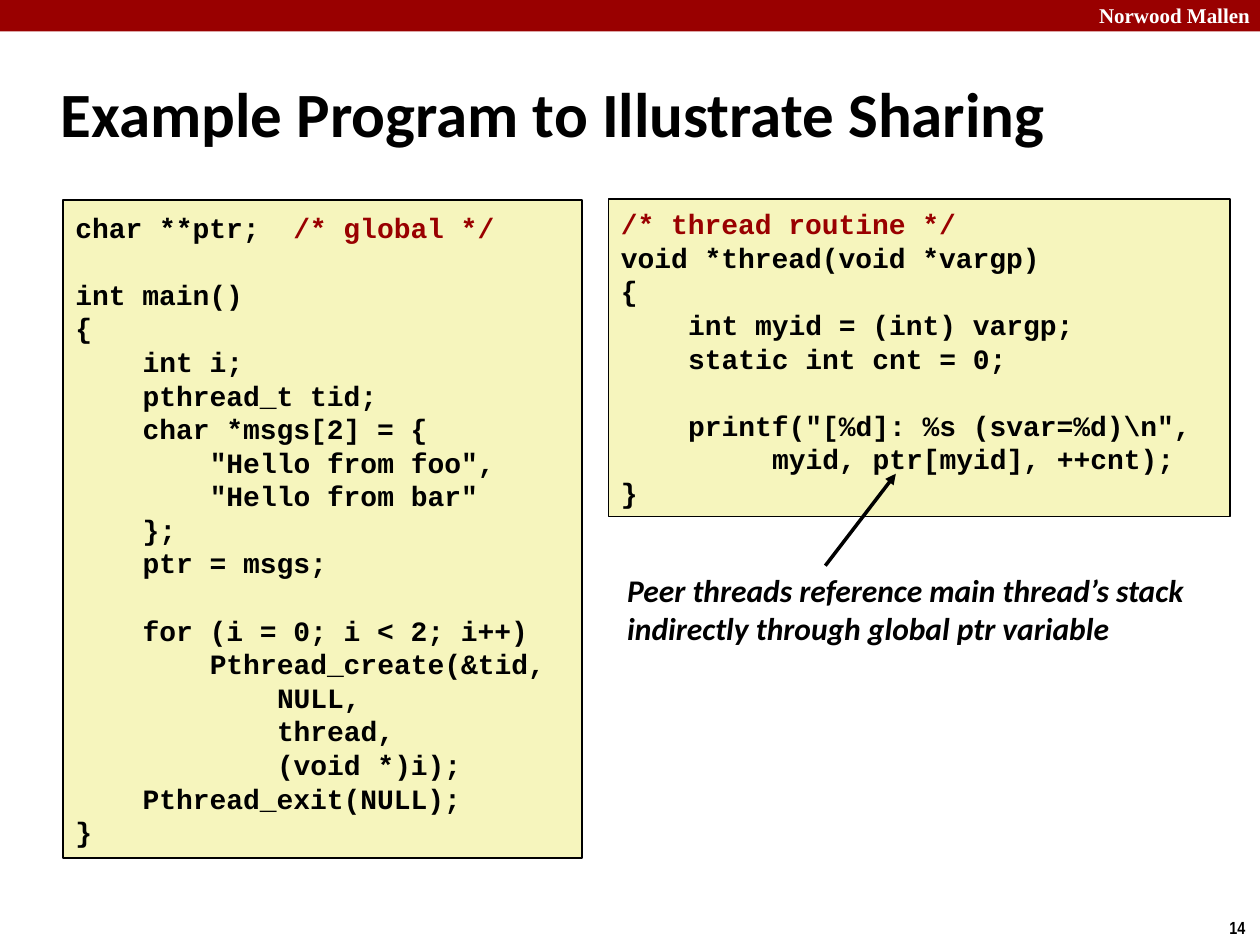
import pptx
import pptx.util
import pptx.dml.color
import pptx.enum.shapes
import pptx.enum.text
import lxml.etree

In, Pt = pptx.util.Inches, pptx.util.Pt
RGB = pptx.dml.color.RGBColor
ALIGN, ANCHOR = pptx.enum.text.PP_ALIGN, pptx.enum.text.MSO_ANCHOR
RECT = pptx.enum.shapes.MSO_SHAPE.RECTANGLE
BLACK, WHITE = RGB(0, 0, 0), RGB(255, 255, 255)
RED, CREAM = RGB(0x99, 0, 0), RGB(0xF6, 0xF5, 0xBD)
CODE_SIZE, CODE_LEADING = 16, 19.2
CHAR = 0.6 * CODE_SIZE  # width of one monospaced character

prs = pptx.Presentation()
prs.slide_width, prs.slide_height = In(10), In(7.5)
s = prs.slides.add_slide(prs.slide_layouts[5])


def write(tf, lines, font="Calibri", size=18, color=BLACK, italic=False,
          align=ALIGN.LEFT, anchor=ANCHOR.MIDDLE, wrap=False, inset=0.05, code=False):
    """Fill a text frame; code lines get indents, gaps and red comments."""
    tf.word_wrap, tf.vertical_anchor = wrap, anchor
    tf.auto_size = pptx.enum.text.MSO_AUTO_SIZE.NONE
    tf.margin_left = tf.margin_right = In(0.1)
    tf.margin_top = tf.margin_bottom = In(inset)
    gap, p = 0, None
    for line in lines:
        if not line:
            gap = CODE_LEADING
            continue
        p = tf.add_paragraph() if p is not None else tf.paragraphs[0]
        p.alignment = align
        p.space_before, gap = Pt(gap), 0
        text, mark, comment = line, "", ""
        if code:
            text = line.lstrip()
            pPr = p._p.get_or_add_pPr()
            pPr.set("marL", str(int(Pt(CHAR * (len(line) - len(text))))))
            pPr.set("indent", "0")
            p.line_spacing = Pt(CODE_LEADING)
            text, mark, comment = text.partition("/*")
        for part, tint in ((text, color), (mark + comment, RED)):
            if part:
                r = p.add_run()
                r.text = part
                r.font.name, r.font.size = font, Pt(size)
                r.font.bold, r.font.italic = True, italic
                r.font.color.rgb = tint


def box(left, top, width, height, fill, line=None):
    """Add a flat rectangle, outlined when a line colour is given."""
    sp = s.shapes.add_shape(RECT, In(left), In(top), In(width), In(height))
    sp.shadow.inherit = False
    sp.fill.solid()
    sp.fill.fore_color.rgb = fill
    if line is None:
        sp.line.fill.background()
    else:
        sp.line.color.rgb, sp.line.width = line, Pt(1)
    return sp


box(0, 0, 10, 0.25, RED)

title = s.shapes.title
title.left, title.top, title.width, title.height = In(0.38), In(0.48), In(9.3), In(0.83)
write(title.text_frame, ["Example Program to Illustrate Sharing"], size=36, wrap=True)

MAIN = """char **ptr;  /* global */

int main()
{
    int i;
    pthread_t tid;
    char *msgs[2] = {
        "Hello from foo",
        "Hello from bar"
    };
    ptr = msgs;

    for (i = 0; i < 2; i++)
        Pthread_create(&tid,
            NULL,
            thread,
            (void *)i);
    Pthread_exit(NULL);
}"""
THREAD = r"""/* thread routine */
void *thread(void *vargp)
{
    int myid = (int) vargp;
    static int cnt = 0;

    printf("[%d]: %s (svar=%d)\n",
         myid, ptr[myid], ++cnt);
}"""
for listing, place in ((MAIN, (0.5, 1.59, 4.12, 5.22)), (THREAD, (4.83, 1.58, 4.93, 2.52))):
    write(box(*place, CREAM, BLACK).text_frame, listing.split("\n"),
          font="Courier New", size=CODE_SIZE, code=True)

labels = (
    (["Norwood Mallen"], (8.64, -0.03, 1.38, 0.3),
     dict(font="Times New Roman", size=12, color=WHITE, align=ALIGN.RIGHT, anchor=ANCHOR.TOP)),
    (["14"], (9.66, 7.23, 0.34, 0.27),
     dict(font="Arial Narrow", size=10, anchor=ANCHOR.TOP)),
    (["Peer threads reference main thread\u2019s stack", "indirectly through global ptr variable"],
     (4.88, 4.53, 4.73, 0.61), dict(italic=True, inset=0)),
)
for lines, place, style in labels:
    write(s.shapes.add_textbox(*map(In, place)).text_frame, lines, **style)

arrow = s.shapes.add_connector(pptx.enum.shapes.MSO_CONNECTOR.STRAIGHT,
                               In(6.55), In(4.49), In(7.11), In(3.76))
arrow.line.color.rgb, arrow.line.width = BLACK, Pt(2)
A = "{http://schemas.openxmlformats.org/drawingml/2006/main}"
lxml.etree.SubElement(arrow.line._get_or_add_ln(), A + "tailEnd", type="triangle")
lxml.etree.SubElement(arrow._element.spPr, A + "effectLst")

prs.save("out.pptx")
